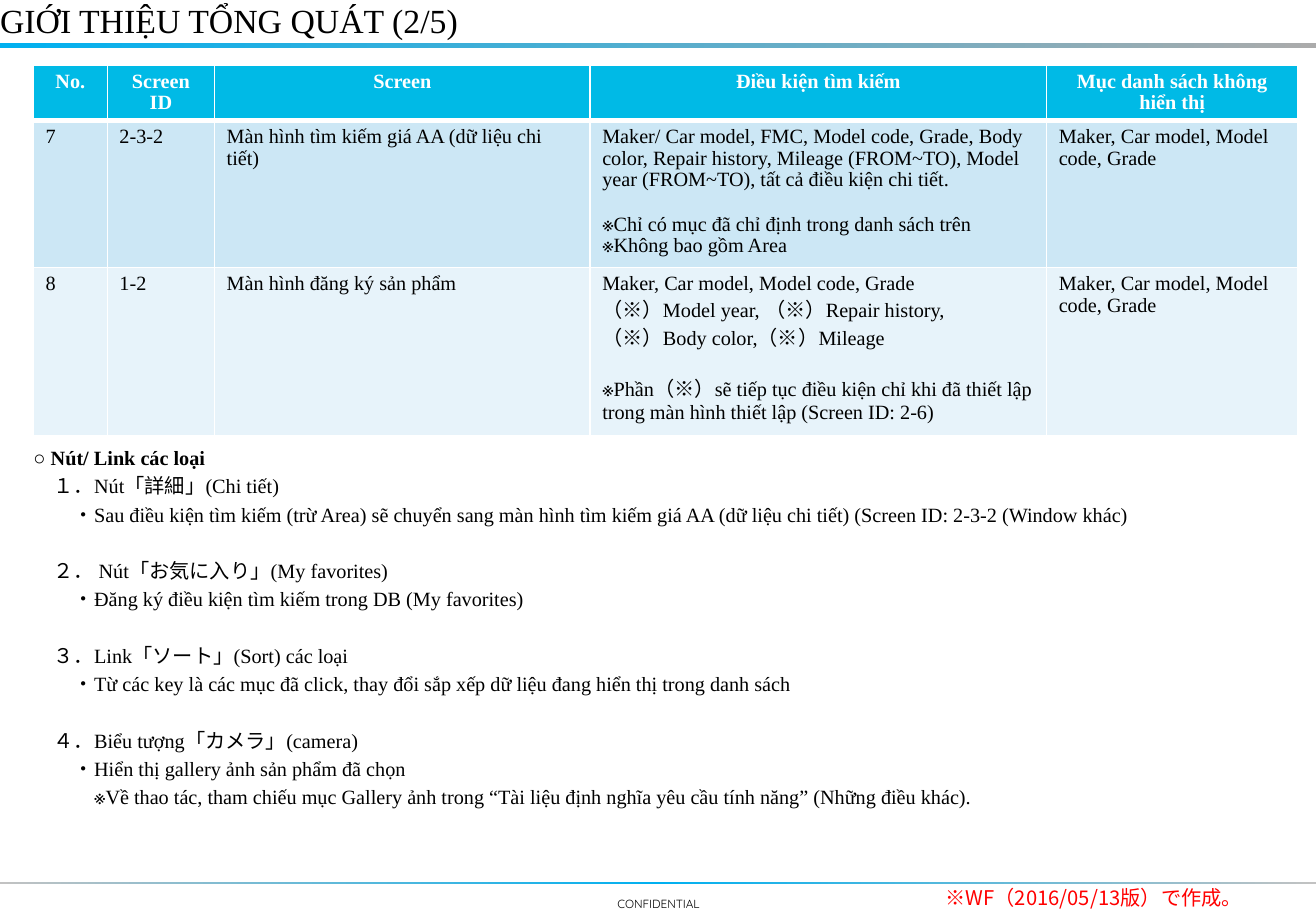
from dataclasses import dataclass

from pptx import Presentation
from pptx import util as u
from pptx.dml.color import RGBColor
from pptx.enum import shapes, text
from pptx.oxml import parse_xml
from pptx.oxml.ns import nsdecls, qn

PX = 7620  # 120 px to the inch


@dataclass(frozen=True)
class Theme:
    font: str = "Times New Roman"
    foot: str = "Quicksand"
    cjk: str = "Noto Sans CJK JP"
    ink: str = "000000"
    white: str = "FFFFFF"
    red: str = "FF0000"
    head: str = "00BAE6"
    bands: tuple = ("CCE7F5", "E7F3FA")
    sky: str = "00B0F0"
    gray: str = "ABABAB"
    pale: str = "C2C2C2"
    title: int = 20
    body: int = 12
    small: int = 7


T = Theme()
LEFT, CENTER = text.PP_ALIGN.LEFT, text.PP_ALIGN.CENTER
TOP, BOTTOM = text.MSO_ANCHOR.TOP, text.MSO_ANCHOR.BOTTOM

HEADS = ["No.", "Screen ID", "Screen", "Điều kiện tìm kiếm", "Mục danh sách không hiển thị"]
COLS = [73, 106, 371, 451, 248]
ROWS = [55, 145, 166]
# The last lines of a search cell, after "|", form a note set off by a gap.
SCREENS = [
    ["7", "2-3-2", "Màn hình tìm kiếm giá AA (dữ liệu chi tiết)",
     "Maker/ Car model, FMC, Model code, Grade, Body color, Repair history, Mileage (FROM~TO), "
     "Model year (FROM~TO), tất cả điều kiện chi tiết.\n"
     "|※Chỉ có mục đã chỉ định trong danh sách trên\n※Không bao gồm Area",
     "Maker, Car model, Model code, Grade"],
    ["8", "1-2", "Màn hình đăng ký sản phẩm",
     "Maker, Car model, Model code, Grade\n（※）Model year, （※）Repair history,\n"
     "（※）Body color,（※）Mileage\n"
     "|※Phần（※）sẽ tiếp tục điều kiện chỉ khi đã thiết lập trong màn hình thiết lập (Screen ID: 2-6)",
     "Maker, Car model, Model code, Grade"],
]
# Level, gap above in points, words
LINKS = [
    (0, 2.4, "○ Nút/ Link các loại"),
    (1, 2.4, "１．Nút「詳細」(Chi tiết)"),
    (2, 2.4, "・Sau điều kiện tìm kiếm (trừ Area) sẽ chuyển sang màn hình tìm kiếm giá AA "
             "(dữ liệu chi tiết) (Screen ID: 2-3-2 (Window khác)"),
    (1, 19, "２． Nút「お気に入り」(My favorites)"),
    (2, 2.4, "・Đăng ký điều kiện tìm kiếm trong DB (My favorites)"),
    (1, 19, "３．Link「ソート」(Sort) các loại"),
    (2, 2.4, "・Từ các key là các mục đã click, thay đổi sắp xếp dữ liệu đang hiển thị trong danh sách"),
    (1, 19, "４．Biểu tượng「カメラ」(camera)"),
    (2, 2.4, "・Hiển thị gallery ảnh sản phẩm đã chọn"),
    (3, 2.4, "※Về thao tác, tham chiếu mục Gallery ảnh trong “Tài liệu định nghĩa yêu cầu tính năng” "
             "(Những điều khác)."),
]


def px(*nums):
    return [u.Emu(n * PX) for n in nums]


def write(para, words, size=T.body, color=T.ink, font=T.font, bold=False, align=LEFT, gap=0):
    para.alignment = align
    para.space_before = u.Pt(gap)
    run = para.add_run()
    run.text = words
    run.font.size = u.Pt(size)
    run.font.name = font
    run.font.bold = bold
    run.font.color.rgb = RGBColor.from_string(color)
    return run


def lines(frame, count):
    """Yield the paragraphs of an empty frame, adding as many as are needed."""
    yield frame.paragraphs[0]
    for _ in range(count - 1):
        yield frame.add_paragraph()


def bare(shape, box, anchor=TOP):
    """Place a text shape with no insets and return its frame."""
    shape.left, shape.top, shape.width, shape.height = px(*box)
    frame = shape.text_frame
    frame.margin_left = frame.margin_top = frame.margin_right = frame.margin_bottom = 0
    frame.word_wrap = True
    frame.auto_size = text.MSO_AUTO_SIZE.NONE
    frame.vertical_anchor = anchor
    return frame


def label(slide, box, words, anchor=TOP, **fmt):
    frame = bare(slide.shapes.add_textbox(*px(*box)), box, anchor)
    return write(frame.paragraphs[0], words, **fmt)


def band(slide, box, tones):
    """Draw a bar whose colours run evenly from left to right."""
    bar = slide.shapes.add_shape(shapes.MSO_SHAPE.RECTANGLE, *px(*box))
    bar.shadow.inherit = False
    bar.line.fill.background()
    bar.fill.gradient()
    bar.fill.gradient_angle = 0
    stops = bar._element.spPr.find(qn("a:gradFill")).find(qn("a:gsLst"))
    for stop in list(stops):
        stops.remove(stop)
    for i, tone in enumerate(tones):
        spot = 100000 * i // (len(tones) - 1)
        stops.append(parse_xml(
            f'<a:gs {nsdecls("a")} pos="{spot}"><a:srgbClr val="{tone}"/></a:gs>'))


def header(slide, box):
    x, y, w, h = box
    frame = bare(slide.shapes.title, (x, y, 954, h))
    write(frame.paragraphs[0], "GIỚI THIỆU TỔNG QUÁT (2/5)", size=T.title)
    band(slide, (x, y + 43, w, 5), (T.sky, T.gray))


def edge(cell, base):
    """Give a cell white borders, the lower one base points wide."""
    props = cell._tc.get_or_add_tcPr()
    for i, (side, wide) in enumerate(zip("LRTB", (1, 1, 1, base))):
        props.insert(i, parse_xml(
            f'<a:ln{side} {nsdecls("a")} w="{u.Pt(wide)}"><a:solidFill>'
            f'<a:srgbClr val="{T.white}"/></a:solidFill></a:ln{side}>'))


def grid(slide, box):
    table = slide.shapes.add_table(len(ROWS), len(COLS), *px(*box)).table
    for col, wide in zip(table.columns, COLS):
        col.width = u.Emu(wide * PX)
    for row, tall in zip(table.rows, ROWS):
        row.height = u.Emu(tall * PX)
    for r, record in enumerate([HEADS] + SCREENS):
        top = r == 0
        fmt = dict(color=T.white, bold=True, align=CENTER) if top else {}
        for c, words in enumerate(record):
            cell = table.cell(r, c)
            cell.fill.solid()
            cell.fill.fore_color.rgb = RGBColor.from_string(T.head if top else T.bands[r - 1])
            edge(cell, 3 if top else 1)
            parts = words.split("\n")
            for para, part in zip(lines(cell.text_frame, len(parts)), parts):
                para.line_spacing = 0.96
                write(para, part.lstrip("|"), gap=13.4 if part[0] == "|" else 0, **fmt)


def links(slide, box):
    frame = bare(slide.placeholders[1], box)
    for para, (level, gap, words) in zip(lines(frame, len(LINKS)), LINKS):
        props = para._p.get_or_add_pPr()
        props.set("marL", str(level * 20 * PX))
        props.set("indent", "0")
        write(para, words, bold=level == 0, gap=gap)
        props.append(parse_xml(f'<a:buNone {nsdecls("a")}/>'))


def footer(slide, box):
    x, y, w, h = box
    band(slide, (x, y, w, 2), (T.pale, T.sky, T.pale))
    label(slide, (x + 538, y + 4, 225, h - 4), "CONFIDENTIAL", anchor=BOTTOM,
          size=T.small, font=T.foot, align=CENTER)
    run = label(slide, (x + 934, y + 4, 353, h - 4), "※WF（2016/05/13版）で作成。",
                color=T.red, font=T.cjk, gap=2.4)
    run._r.get_or_add_rPr().append(
        parse_xml(f'<a:ea {nsdecls("a")} typeface="{T.cjk}"/>'))


def main():
    deck = Presentation()
    deck.slide_width, deck.slide_height = px(1300, 900)
    slide = deck.slides.add_slide(deck.slide_layouts[1])
    footer(slide, (0, 871, 1300, 29))
    header(slide, (0, 0, 1300, 59))
    grid(slide, (33, 64, sum(COLS), sum(ROWS)))
    links(slide, (33, 440, 1231, 430))
    deck.save("out.pptx")


if __name__ == "__main__":
    main()
